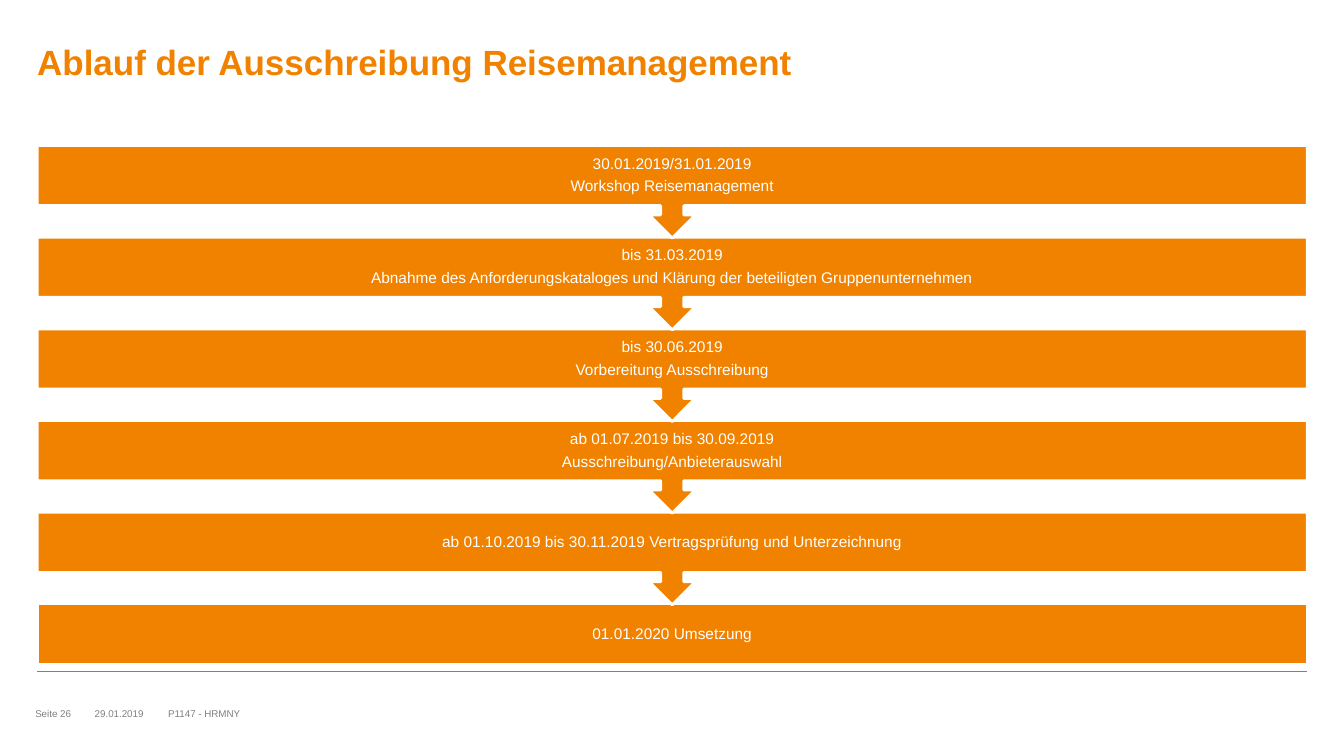
"""Build a slide showing the tender process as a chain of arrow callouts."""
from pptx import Presentation
from pptx.dml.color import RGBColor
from pptx.enum.shapes import MSO_CONNECTOR, MSO_SHAPE
from pptx.enum.text import MSO_ANCHOR, PP_ALIGN
from pptx.oxml.ns import qn
from pptx.util import Pt
from lxml import etree

STRAIGHT = MSO_CONNECTOR.STRAIGHT
BAR, CALLOUT = MSO_SHAPE.RECTANGLE, MSO_SHAPE.DOWN_ARROW_CALLOUT
TOP, MIDDLE = MSO_ANCHOR.TOP, MSO_ANCHOR.MIDDLE
LEFT, CENTER = PP_ALIGN.LEFT, PP_ALIGN.CENTER

COLORS = {"orange": "F08200", "white": "FFFFFF", "gray": "808080"}
FONT = "Arial"
TITLE = "Ablauf der Ausschreibung Reisemanagement"
STEPS = [
    "30.01.2019/31.01.2019\nWorkshop Reisemanagement",
    "bis 31.03.2019\nAbnahme des Anforderungskataloges und Klärung der beteiligten Gruppenunternehmen",
    "bis 30.06.2019\nVorbereitung Ausschreibung",
    "ab 01.07.2019 bis 30.09.2019\nAusschreibung/Anbieterauswahl",
    "ab 01.10.2019 bis 30.11.2019 Vertragsprüfung und Unterzeichnung",
    "01.01.2020 Umsetzung",
]
FOOTER = [("Seite 26", 25.2, 39.6), ("29.01.2019", 67.7, 43.2), ("P1147 - HRMNY", 120.2, 583.2)]

MARGIN, WIDTH = 26.6, 907.2
STEP_TOP, PITCH = 103.9, 65.5
BAR_HEIGHT, CALLOUT_HEIGHT = 43, 66.2
RULE_Y, FOOTER_Y, FOOTER_HEIGHT = 479.5, 504, 11.5


def rgb(name):
    return RGBColor.from_string(COLORS[name])


def write(shape, text, size, color, align=LEFT, anchor=MIDDLE, inset=0, bold=False):
    tf = shape.text_frame
    tf.text = text
    tf.word_wrap = True
    tf.vertical_anchor = anchor
    tf.margin_left = tf.margin_right = tf.margin_top = tf.margin_bottom = Pt(inset)
    for p in tf.paragraphs:
        p.alignment = align
        for r in p.runs:
            r.font.name = FONT
            r.font.size = Pt(size)
            r.font.bold = bold
            r.font.color.rgb = rgb(color)
    return tf


def add_rule(s):
    rule = s.shapes.add_connector(STRAIGHT, Pt(MARGIN), Pt(RULE_Y), Pt(MARGIN + WIDTH), Pt(RULE_Y))
    rule.line.color.rgb = rgb("gray")
    rule.line.width = Pt(0.5)
    etree.SubElement(rule._element.spPr, qn("a:effectLst"))


def add_step(s, index, text):
    last = index == len(STEPS) - 1
    kind, height = (BAR, BAR_HEIGHT) if last else (CALLOUT, CALLOUT_HEIGHT)
    sp = s.shapes.add_shape(kind, Pt(MARGIN), Pt(STEP_TOP + index * PITCH), Pt(WIDTH), Pt(height))
    sp.shadow.inherit = False
    sp.fill.solid()
    sp.fill.fore_color.rgb = rgb("orange")
    sp.line.color.rgb = rgb("white")
    sp.line.width = Pt(2)
    tf = write(sp, text, 11, "white", CENTER, inset=6.2)
    for p in tf.paragraphs:
        p.line_spacing = 0.9
    for p in tf.paragraphs[:-1]:
        p.space_after = Pt(4.3)


def main():
    prs = Presentation()
    prs.slide_width, prs.slide_height = Pt(960), Pt(540)
    s = prs.slides.add_slide(prs.slide_layouts[5])

    title = s.shapes.title
    title.left, title.top, title.width, title.height = Pt(MARGIN), Pt(28.8), Pt(WIDTH), Pt(73.4)
    write(title, TITLE, 25, "orange", anchor=TOP, bold=True)

    add_rule(s)
    for index, text in reversed(list(enumerate(STEPS))):
        add_step(s, index, text)
    for text, left, width in FOOTER:
        box = s.shapes.add_textbox(Pt(left), Pt(FOOTER_Y), Pt(width), Pt(FOOTER_HEIGHT))
        write(box, text, 7, "gray")

    prs.save("out.pptx")


if __name__ == "__main__":
    main()
